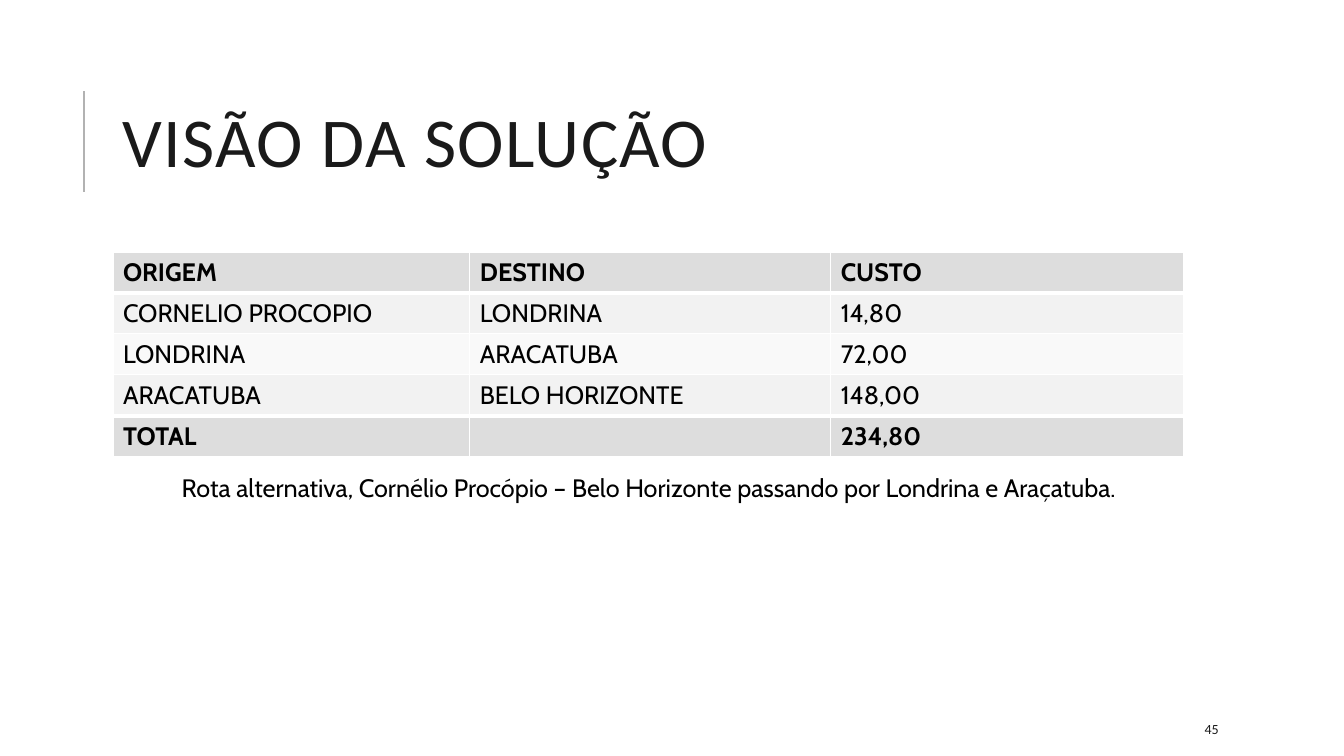
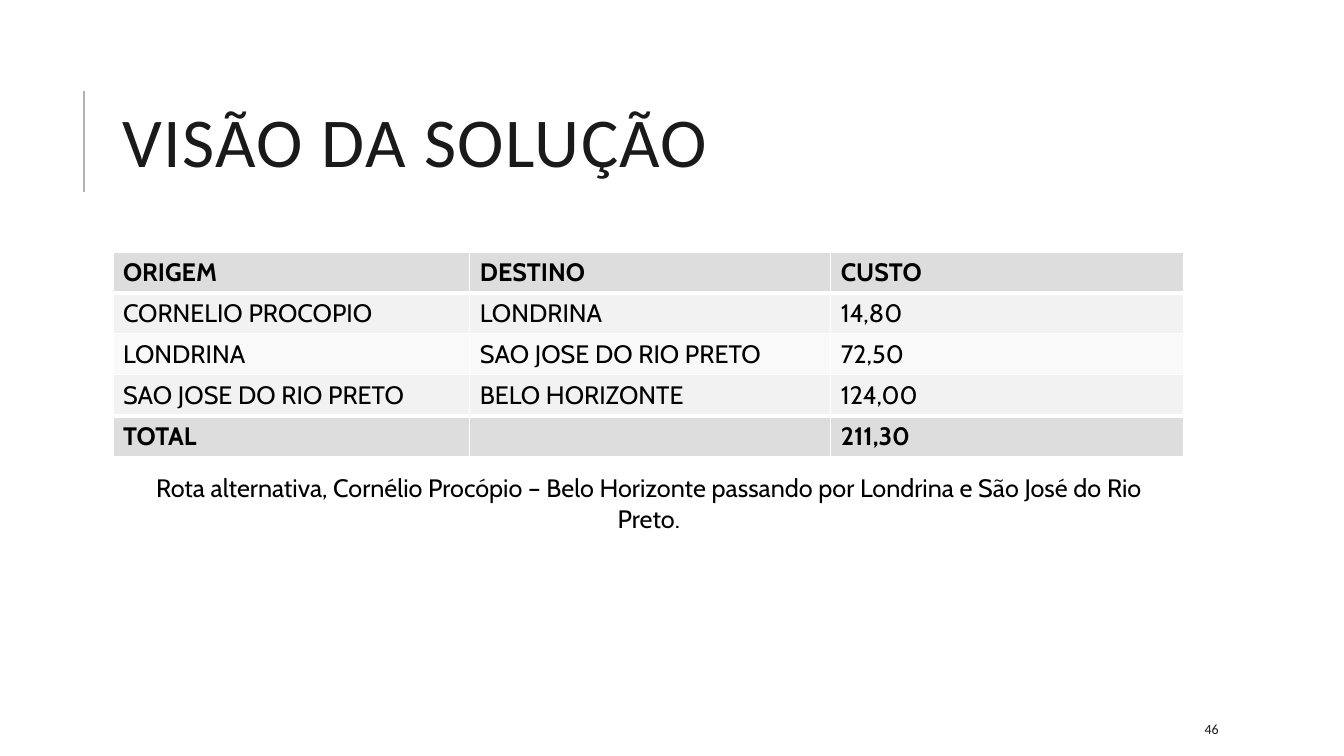
from dataclasses import dataclass

from lxml import etree
from pptx import Presentation
from pptx.dml.color import RGBColor
from pptx.enum.shapes import MSO_CONNECTOR
from pptx.enum.text import MSO_ANCHOR, PP_ALIGN
from pptx.oxml.ns import qn
from pptx.presentation import Presentation as Deck
from pptx.slide import Slide
from pptx.table import _Cell
from pptx.text.text import TextFrame, _Paragraph
from pptx.util import Inches, Pt

STRAIGHT = MSO_CONNECTOR.STRAIGHT
LEFT, CENTER = PP_ALIGN.LEFT, PP_ALIGN.CENTER
TOP, MIDDLE = MSO_ANCHOR.TOP, MSO_ANCHOR.MIDDLE
BLANK_LAYOUT = 6


@dataclass(frozen=True)
class TextStyle:
    font: str
    size: float
    color: str
    bold: bool = False
    spacing: float = 0


@dataclass(frozen=True)
class Theme:
    background: str = "FFFFFF"
    accent: str = "B2B2B2"
    border: str = "FFFFFF"
    emphasis: str = "DDDDDD"
    bands: tuple[str, str] = ("F2F2F2", "F9F9F9")
    thin: float = 1
    thick: float = 3
    accent_width: float = 1.5
    title: TextStyle = TextStyle("Calibri", 50, "1A1A1A", spacing=1)
    body: TextStyle = TextStyle("Cabin", 18, "000000")
    strong: TextStyle = TextStyle("Cabin", 18, "000000", bold=True)
    page: TextStyle = TextStyle("Calibri", 10, "1A1A1A")


@dataclass(frozen=True)
class Box:
    left: float
    top: float
    width: float
    height: float


@dataclass(frozen=True)
class Leg:
    origin: str
    destination: str
    cost: str


@dataclass(frozen=True)
class Route:
    page: int
    legs: tuple[Leg, ...]
    total: str
    caption: str


THEME = Theme()
TITLE = "VISÃO DA SOLUÇÃO"
HEADINGS = ("ORIGEM", "DESTINO", "CUSTO")
MARGIN, CONTENT_WIDTH = 1.12, 10.63
TITLE_BOX = Box(MARGIN, 0.64, CONTENT_WIDTH, 1.64)
TABLE_BOX = Box(MARGIN, 2.5, CONTENT_WIDTH, 2.03)
CAPTION_BOX = Box(MARGIN, 4.64, CONTENT_WIDTH, 0.4)
PAGE_BOX = Box(11.85, 7.08, 1.06, 0.3)
COLUMN_WIDTHS = (3.54, 3.58, 3.5)

ROUTES = (
    Route(
        45,
        (
            Leg("CORNELIO PROCOPIO", "LONDRINA", "14,80"),
            Leg("LONDRINA", "ARACATUBA", "72,00"),
            Leg("ARACATUBA", "BELO HORIZONTE", "148,00"),
        ),
        "234,80",
        "Rota alternativa, Cornélio Procópio – Belo Horizonte passando por Londrina e Araçatuba.",
    ),
    Route(
        46,
        (
            Leg("CORNELIO PROCOPIO", "LONDRINA", "14,80"),
            Leg("LONDRINA", "SAO JOSE DO RIO PRETO", "72,50"),
            Leg("SAO JOSE DO RIO PRETO", "BELO HORIZONTE", "124,00"),
        ),
        "211,30",
        "Rota alternativa, Cornélio Procópio – Belo Horizonte passando por Londrina e São José do Rio Preto.",
    ),
)


def write(frame: TextFrame, text: str, style: TextStyle) -> _Paragraph:
    frame.text = text
    paragraph = frame.paragraphs[0]
    for run in paragraph.runs:
        run.font.name = style.font
        run.font.size = Pt(style.size)
        run.font.bold = style.bold
        run.font.color.rgb = RGBColor.from_string(style.color)
        if style.spacing:
            run.font._element.set("spc", str(int(style.spacing * 100)))
    return paragraph


def add_text(slide: Slide, box: Box, text: str, style: TextStyle,
             align: PP_ALIGN = LEFT, anchor: MSO_ANCHOR = MIDDLE) -> _Paragraph:
    frame = slide.shapes.add_textbox(
        Inches(box.left), Inches(box.top), Inches(box.width), Inches(box.height)
    ).text_frame
    frame.word_wrap = True
    frame.vertical_anchor = anchor
    paragraph = write(frame, text, style)
    paragraph.alignment = align
    return paragraph


def add_accent(slide: Slide) -> None:
    accent = slide.shapes.add_connector(
        STRAIGHT, Inches(0.83), Inches(1.9), Inches(0.83), Inches(0.9)
    )
    accent.line.color.rgb = RGBColor.from_string(THEME.accent)
    accent.line.width = Pt(THEME.accent_width)
    etree.SubElement(accent._element.spPr, qn("a:effectLst"))


def set_borders(cell: _Cell, top: float, bottom: float) -> None:
    properties = cell._tc.get_or_add_tcPr()
    widths = {"lnL": THEME.thin, "lnR": THEME.thin, "lnT": top, "lnB": bottom}
    for side, width in widths.items():
        line = etree.SubElement(properties, qn(f"a:{side}"), w=str(Pt(width)))
        fill = etree.SubElement(line, qn("a:solidFill"))
        etree.SubElement(fill, qn("a:srgbClr"), val=THEME.border)


def add_costs(slide: Slide, route: Route) -> None:
    rows = [
        HEADINGS,
        *((leg.origin, leg.destination, leg.cost) for leg in route.legs),
        ("TOTAL", "", route.total),
    ]
    last = len(rows) - 1
    costs = slide.shapes.add_table(
        len(rows), len(HEADINGS), Inches(TABLE_BOX.left), Inches(TABLE_BOX.top),
        Inches(TABLE_BOX.width), Inches(TABLE_BOX.height)
    ).table
    costs.last_row = True
    for column, width in zip(costs.columns, COLUMN_WIDTHS):
        column.width = Inches(width)
    for i, values in enumerate(rows):
        emphasized = i in (0, last)
        fill = THEME.emphasis if emphasized else THEME.bands[(i - 1) % 2]
        style = THEME.strong if emphasized else THEME.body
        top = THEME.thick if i in (1, last) else THEME.thin
        bottom = THEME.thick if i in (0, last - 1) else THEME.thin
        for j, value in enumerate(values):
            cell = costs.cell(i, j)
            set_borders(cell, top, bottom)
            cell.fill.solid()
            cell.fill.fore_color.rgb = RGBColor.from_string(fill)
            write(cell.text_frame, value, style)


def add_route(deck: Deck, route: Route) -> None:
    slide = deck.slides.add_slide(deck.slide_layouts[BLANK_LAYOUT])
    slide.background.fill.solid()
    slide.background.fill.fore_color.rgb = RGBColor.from_string(THEME.background)
    add_accent(slide)
    add_text(slide, TITLE_BOX, TITLE, THEME.title).line_spacing = 0.8
    add_costs(slide, route)
    add_text(slide, PAGE_BOX, str(route.page), THEME.page)
    add_text(slide, CAPTION_BOX, route.caption, THEME.body, CENTER, TOP)


def main() -> None:
    deck = Presentation()
    deck.slide_width = Inches(13.33)
    deck.slide_height = Inches(7.5)
    for route in ROUTES:
        add_route(deck, route)
    deck.save("out.pptx")


if __name__ == "__main__":
    main()
